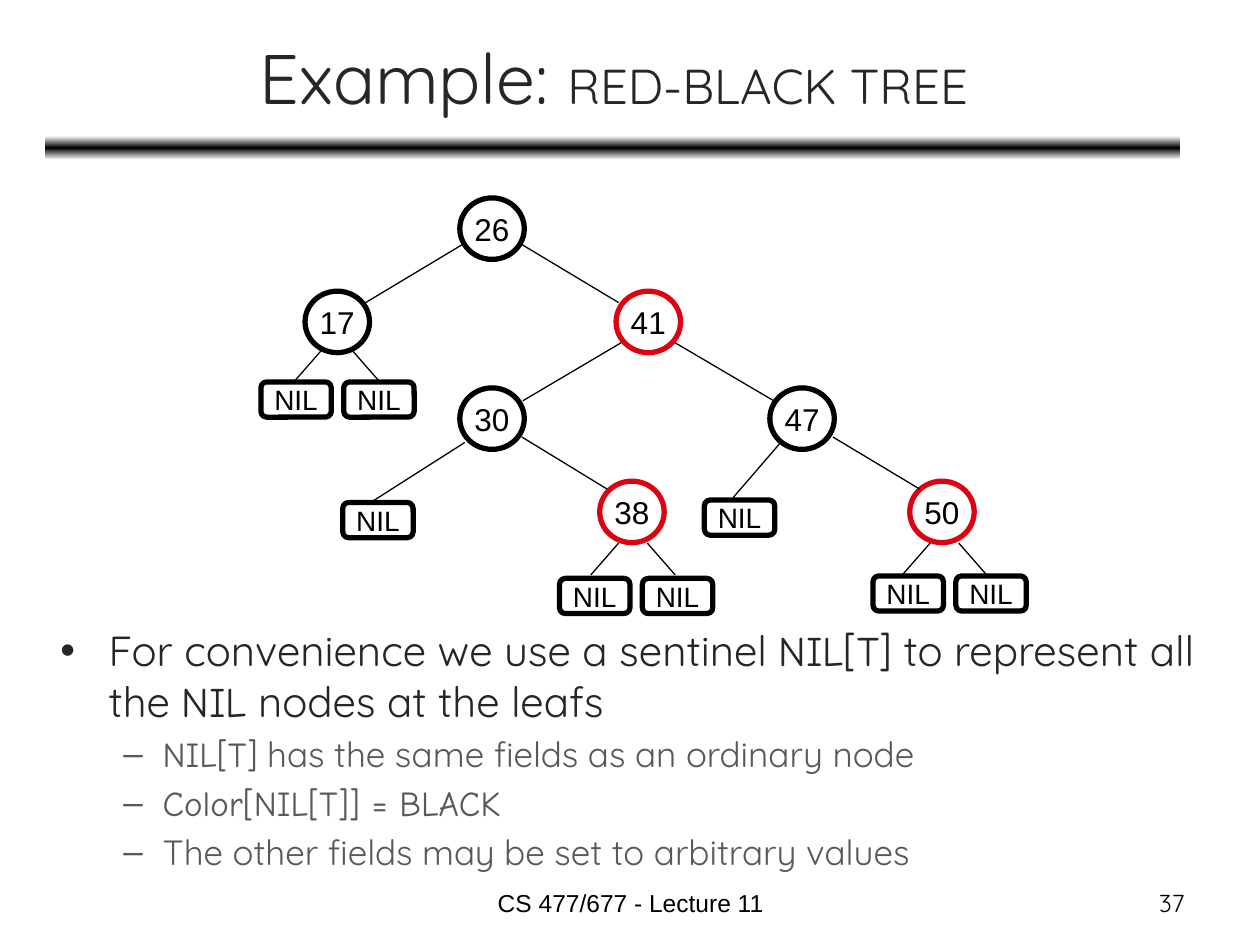
from copy import deepcopy
from lxml.etree import SubElement
from pptx import Presentation
from pptx.dml.color import RGBColor
from pptx.enum.shapes import MSO_CONNECTOR, MSO_SHAPE
from pptx.enum.text import MSO_ANCHOR, PP_ALIGN
from pptx.oxml.ns import qn
from pptx.util import Cm, Pt

COLORS = {"black": "000000", "white": "FFFFFF", "red": "DD0111",
          "title": "262626", "sub": "595959"}
SANS, COMIC, ROUND = "Arial", "Comic Neue", "Quicksand"


def rgb(name):
    return RGBColor.from_string(COLORS[name])


def write(p, text, size=14, font=SANS, color="black", align=None):
    r = p.add_run()
    r.text = text
    r.font.size, r.font.name = Pt(size), font
    r.font.color.rgb = rgb(color)
    if align is not None:
        p.alignment = align
    return r


class TreeSlide:
    """Draws the elements of the tree slide in one style."""

    node_size = (1.3, 1.24)
    nil_size = (1.42, 0.71)

    def __init__(self, prs):
        self.s = prs.slides.add_slide(prs.slide_layouts[6])

    def text_box(self, x, y, w, h, anchor=MSO_ANCHOR.TOP):
        tf = self.s.shapes.add_textbox(Cm(x), Cm(y), Cm(w), Cm(h)).text_frame
        tf.word_wrap, tf.vertical_anchor = True, anchor
        return tf

    def shape(self, kind, x, y, w, h):
        sp = self.s.shapes.add_shape(kind, Cm(x), Cm(y), Cm(w), Cm(h))
        sp.shadow.inherit = False
        return sp

    def bar(self, x, y, w, h):
        sp = self.shape(MSO_SHAPE.ROUNDED_RECTANGLE, x, y, w, h)
        sp.line.fill.background()
        sp.fill.gradient()
        sp.fill.gradient_angle = 90
        stops = sp.fill.gradient_stops
        first = stops[0]._gs
        first.addnext(deepcopy(first))
        for i, color in enumerate(("white", "black", "white")):
            stop = sp.fill.gradient_stops[i]
            stop.position, stop.color.rgb = i / 2, rgb(color)

    def outlined(self, kind, x, y, size, text, pt, color="black"):
        sp = self.shape(kind, x, y, *size)
        sp.fill.background()
        sp.line.color.rgb, sp.line.width = rgb(color), Pt(3)
        tf = sp.text_frame
        tf.word_wrap, tf.vertical_anchor = False, MSO_ANCHOR.MIDDLE
        write(tf.paragraphs[0], text, size=pt, align=PP_ALIGN.CENTER)

    def node(self, key, x, y, color):
        self.outlined(MSO_SHAPE.OVAL, x, y, self.node_size, key, 18, color)

    def nil(self, x, y):
        self.outlined(MSO_SHAPE.ROUNDED_RECTANGLE, x, y, self.nil_size, "NIL", 16)

    def edge(self, *ends):
        c = self.s.shapes.add_connector(MSO_CONNECTOR.STRAIGHT, *map(Cm, ends))
        c.line.color.rgb, c.line.width = rgb("black"), Pt(0.75)
        SubElement(c._element.spPr, qn("a:effectLst"))

    def nil_pair(self, mid, bottom, left, top):
        for i, side in enumerate((-1, 1)):
            self.nil(left + 1.67 * i, top)
            self.edge(mid + side * 0.29, bottom, mid + side * 0.85, bottom + 0.64)

    def bullet(self, p, runs, char, indent, hang, size, color):
        pPr = p._p.get_or_add_pPr()
        pPr.set("marL", str(Cm(indent)))
        pPr.set("indent", str(-Cm(hang)))
        p.space_before = Pt(size * 0.2)
        SubElement(pPr, qn("a:buFont")).set("typeface", SANS)
        SubElement(pPr, qn("a:buChar")).set("char", char)
        for text, font in runs:
            write(p, text, size=size, font=font, color=color)


NODES = [("26", 9.27, 3.99, "black"), ("17", 6.15, 5.87, "black"),
         ("41", 12.42, 5.87, "red"), ("30", 9.27, 7.82, "black"),
         ("47", 15.52, 7.82, "black"), ("38", 12.09, 9.7, "red"),
         ("50", 18.34, 9.7, "red")]
EDGES = [(9.32, 4.93, 7.37, 6.1), (10.52, 4.93, 12.47, 6.1),
         (12.52, 6.91, 10.54, 8.08), (13.61, 6.91, 15.6, 8.08),
         (10.52, 8.81, 12.24, 9.86), (16.79, 8.81, 18.54, 9.86),
         (9.37, 8.92, 7.47, 10.13), (15.72, 8.94, 14.78, 10.03)]
NILS = [(6.91, 10.13), (14.2, 10.08)]
NIL_PAIRS = [(6.79, 7.04, 5.26, 7.7), (12.76, 10.95, 11.28, 11.66),
             (19.04, 10.95, 17.6, 11.61)]
TOP = ("\u2022", 0.97, 0.97, 24, "title")
SUB = ("\u2013", 2.06, 0.79, 20, "sub")
BULLETS = [
    ([("For convenience we use a sentinel ", ROUND), ("NIL[T]", COMIC),
      (" to represent all the ", ROUND), ("NIL", COMIC),
      (" nodes at the leafs", ROUND)], TOP),
    ([("NIL[T]", COMIC), (" has the same fields as an ordinary node", ROUND)], SUB),
    ([("Color[NIL[T]] = BLACK", COMIC)], SUB),
    ([("The other fields may be set to arbitrary values", ROUND)], SUB),
]

prs = Presentation()
prs.slide_width, prs.slide_height = Cm(25.4), Cm(19.05)
tree = TreeSlide(prs)
tree.bar(0.91, 2.74, 22.89, 0.48)

p = tree.text_box(0.94, 0.28, 22.86, 2.51, MSO_ANCHOR.MIDDLE).paragraphs[0]
for text, size in (("Example: ", 40), ("RED-BLACK TREE", 28)):
    write(p, text, size=size, font=ROUND, color="title", align=PP_ALIGN.CENTER)

tf = tree.text_box(0.97, 12.47, 23.72, 5.99)
for i, (runs, level) in enumerate(BULLETS):
    tree.bullet(tf.add_paragraph() if i else tf.paragraphs[0], runs, *level)

for node in NODES:
    tree.node(*node)
for ends in EDGES:
    tree.edge(*ends)
for place in NILS:
    tree.nil(*place)
for pair in NIL_PAIRS:
    tree.nil_pair(*pair)

write(tree.text_box(8.69, 17.78, 8.05, 0.89).paragraphs[0],
      "CS 477/677 - Lecture 11", align=PP_ALIGN.CENTER)
write(tree.text_box(18.21, 17.78, 5.92, 0.89).paragraphs[0],
      "37", font=ROUND, align=PP_ALIGN.RIGHT)
prs.save("out.pptx")
